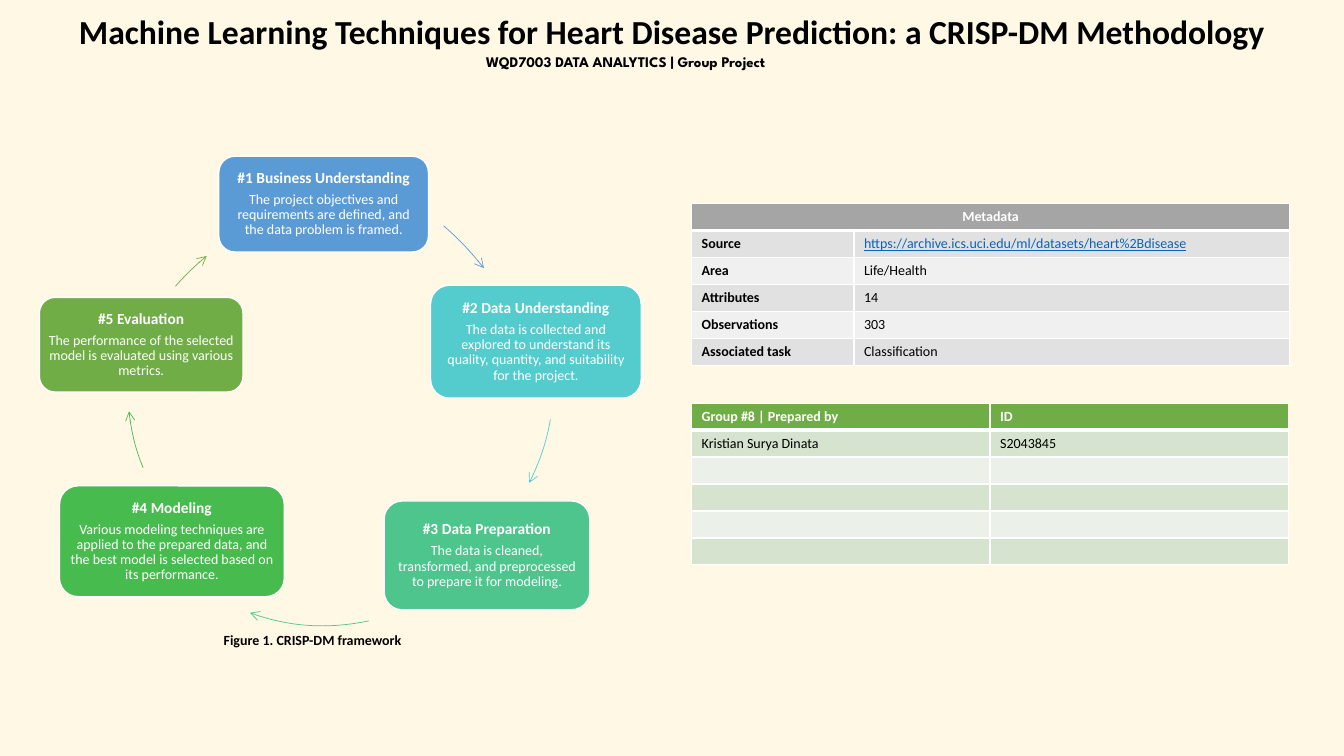
from lxml import etree
from pptx import Presentation
from pptx.dml.color import RGBColor
from pptx.enum.shapes import MSO_SHAPE
from pptx.enum.text import MSO_ANCHOR, PP_ALIGN
from pptx.oxml.ns import qn
from pptx.util import Inches, Pt

ROUNDED = MSO_SHAPE.ROUNDED_RECTANGLE
MIDDLE, TOP = MSO_ANCHOR.MIDDLE, MSO_ANCHOR.TOP
LEFT, CENTER = PP_ALIGN.LEFT, PP_ALIGN.CENTER
WHITE, BLACK, LINK_BLUE = "FFFFFF", "000000", "0563C1"
GREEN, GRAY = "70AD47", "A5A5A5"
RING_WIDTH, RING_HEIGHT = 4.43, 4.55


def color(value):
    return RGBColor.from_string(value)


def add_text(para, text, size, fill=BLACK, bold=False, align=LEFT, font="Calibri"):
    para.alignment = align
    span = para.add_run()
    span.text = text
    span.font.name, span.font.size, span.font.bold = font, Pt(size), bold
    span.font.color.rgb = color(fill)
    return span


deck = Presentation()
deck.slide_width, deck.slide_height = Inches(13.33), Inches(7.5)
slide = deck.slides.add_slide(deck.slide_layouts[6])
slide.background.fill.solid()
slide.background.fill.fore_color.rgb = color("FFF8E5")

# Title, subtitle and figure caption
labels = [
    ((0, 0.1, 13.33, 0.47), MIDDLE, 0.9, CENTER, 24, "Calibri",
     "Machine Learning Techniques for Heart Disease Prediction: a CRISP-DM Methodology"),
    ((4.72, 0.39, 3.51, 0.47), MIDDLE, 0.9, LEFT, 10.5, "League Spartan",
     "WQD7003 DATA ANALYTICS | Group Project"),
    ((2.12, 6.22, 2.22, 0.28), TOP, 1.0, LEFT, 10, "Calibri",
     "Figure 1. CRISP-DM framework"),
]
for place, anchor, spacing, align, size, font, text in labels:
    box = slide.shapes.add_textbox(*map(Inches, place))
    frame = box.text_frame
    frame.word_wrap, frame.vertical_anchor = True, anchor
    frame.paragraphs[0].line_spacing = spacing
    add_text(frame.paragraphs[0], text, size, bold=True, align=align, font=font)

# CRISP-DM cycle: each step with the ring corner and the curve
# (start, two controls, end) of the arrow leaving it
steps = [
    ("#1 Business Understanding",
     "The project objectives and requirements are defined, and the data problem is framed.",
     "5B9BD5", (2.17, 1.55, 2.08, 0.95), (0.81, 1.76),
     [(4.4, 2.24), (4.55, 2.37), (4.68, 2.51), (4.8, 2.66)]),
    ("#2 Data Understanding",
     "The data is collected and explored to understand its quality, quantity, "
     "and suitability for the project.",
     "54CCCD", (4.27, 2.83, 2.09, 1.12), (1.08, 1.44),
     [(5.46, 4.16), (5.42, 4.38), (5.35, 4.59), (5.25, 4.79)]),
    ("#3 Data Preparation",
     "The data is cleaned, transformed, and preprocessed to prepare it for modeling.",
     "4DC58D", (3.81, 4.97, 2.04, 1.08), (1, 1.66),
     [(3.66, 6.16), (3.27, 6.24), (2.86, 6.22), (2.48, 6.08)]),
    ("#4 Modeling",
     "Various modeling techniques are applied to the prepared data, and the best "
     "model is selected based on its performance.",
     "48BB4F", (0.59, 4.82, 2.23, 1.1), (1.26, 1.52),
     [(1.42, 4.64), (1.35, 4.47), (1.3, 4.27), (1.28, 4.08)]),
    ("#5 Evaluation",
     "The performance of the selected model is evaluated using various metrics.",
     GREEN, (0.39, 2.95, 2.02, 0.94), (1.2, 2.05),
     [(1.74, 2.84), (1.84, 2.73), (1.94, 2.63), (2.05, 2.54)]),
]
for heading, detail, fill, place, (ring_left, ring_top), curve in steps:
    card = slide.shapes.add_shape(ROUNDED, *map(Inches, place))
    card.shadow.inherit = False
    card.fill.solid()
    card.fill.fore_color.rgb = color(fill)
    card.line.color.rgb = color(WHITE)
    card.line.width = Pt(1)
    frame = card.text_frame
    frame.word_wrap, frame.vertical_anchor = True, MIDDLE
    frame.margin_left = frame.margin_right = Inches(0.04)
    frame.margin_top = frame.margin_bottom = Inches(0.05)
    for para, text, size, bold in ((frame.paragraphs[0], heading, 11, True),
                                   (frame.add_paragraph(), detail, 10, False)):
        para.line_spacing, para.space_after = 0.9, Pt(4)
        add_text(para, text, size, WHITE, bold, CENTER)

    # The two moves stretch the frame of the arrow over the whole ring
    points = [(Inches(x), Inches(y)) for x, y in curve]
    builder = slide.shapes.build_freeform(*points[0], scale=1.0)
    builder.add_line_segments(points[1:], close=False)
    builder.move_to(Inches(ring_left), Inches(ring_top))
    builder.move_to(Inches(ring_left + RING_WIDTH), Inches(ring_top + RING_HEIGHT))
    arrow = builder.convert_to_shape()
    arrow.shadow.inherit = False
    arrow.fill.background()
    arrow.line.color.rgb = color(fill)
    arrow.line.width = Pt(0.5)
    # Drop the moves, join the segments into one Bezier curve, add the arrowhead
    outline = next(arrow._element.iter(qn("a:path")))
    for move in outline.findall(qn("a:moveTo"))[1:]:
        outline.remove(move)
    bezier = etree.SubElement(outline, qn("a:cubicBezTo"))
    for segment in outline.findall(qn("a:lnTo")):
        bezier.append(segment[0])
        outline.remove(segment)
    etree.SubElement(arrow.line._ln, qn("a:tailEnd"), type="arrow")

# Metadata and group tables
tables = [
    (2.02, (1.61, 4.32), GRAY, ("E1E1E1", "F0F0F0"), True, [
        ("Metadata", ""),
        ("Source", "https://archive.ics.uci.edu/ml/datasets/heart%2Bdisease"),
        ("Area", "Life/Health"),
        ("Attributes", "14"),
        ("Observations", "303"),
        ("Associated task", "Classification"),
    ]),
    (4.0, (2.96, 2.96), GREEN, ("D5E3CF", "EBF1E9"), False, [
        ("Group #8 | Prepared by", "ID"),
        ("Kristian Surya Dinata", "S2043845"),
    ] + [("", "")] * 4),
]
for top, widths, header_fill, bands, is_metadata, rows in tables:
    grid = slide.shapes.add_table(len(rows), 2, Inches(6.86), Inches(top),
                                  Inches(5.93), Inches(1.6)).table
    grid.first_row = grid.horz_banding = False
    for column, width in zip(grid.columns, widths):
        column.width = Inches(width)
    if is_metadata:
        grid.cell(0, 0).merge(grid.cell(0, 1))
    for r, row in enumerate(rows):
        for c, text in enumerate(row):
            cell = grid.cell(r, c)
            para = cell.text_frame.paragraphs[0]
            if text:
                span = add_text(para, text, 10, BLACK if r else WHITE,
                                bold=r == 0 or (is_metadata and c == 0),
                                align=CENTER if is_metadata and r == 0 else LEFT)
                if text.startswith("https"):
                    span.font.color.rgb = color(LINK_BLUE)
                    span.font.underline = True
            else:
                etree.SubElement(para._p, qn("a:endParaRPr"), sz="1000")
            # Borders go before the fill in the cell properties
            props = cell._tc.get_or_add_tcPr()
            for side in ("L", "R", "T", "B"):
                heavy = (r == 0 and side == "B") or (r == 1 and side == "T")
                border = etree.SubElement(props, qn("a:ln" + side),
                                          w=str(Pt(3 if heavy else 1)))
                solid = etree.SubElement(border, qn("a:solidFill"))
                etree.SubElement(solid, qn("a:srgbClr"), val=WHITE)
            cell.fill.solid()
            cell.fill.fore_color.rgb = color(bands[(r - 1) % 2] if r else header_fill)

deck.save("out.pptx")
